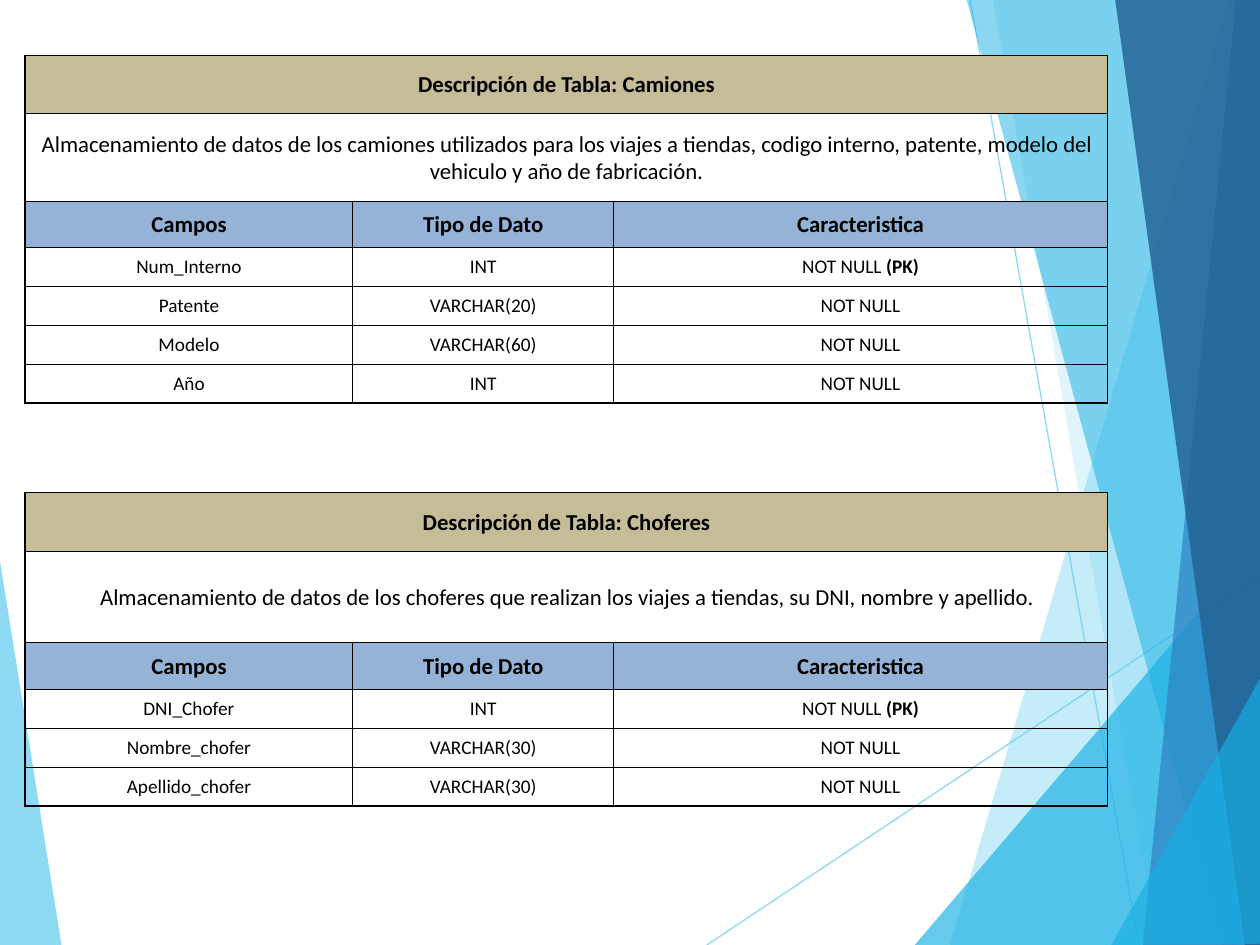
from dataclasses import dataclass

from lxml import etree
from pptx import Presentation
from pptx.dml.color import RGBColor
from pptx.enum.dml import MSO_FILL
from pptx.enum.shapes import MSO_CONNECTOR
from pptx.enum.text import MSO_ANCHOR, PP_ALIGN
from pptx.oxml.ns import qn
from pptx.util import Inches, Pt

STRAIGHT = MSO_CONNECTOR.STRAIGHT
MIDDLE = MSO_ANCHOR.MIDDLE
CENTER = PP_ALIGN.CENTER
SOLID = MSO_FILL.SOLID

COLORS = {
    "sky": "5FCBEF",
    "cyan": "17B0E4",
    "blue": "2E83C3",
    "navy": "226292",
    "title": "C4BD97",
    "header": "95B3D7",
    "ink": "000000",
}
FONT = "Calibri"
HEADERS = ("Campos", "Tipo de Dato", "Caracteristica")
COLUMN_WIDTHS = (2.6, 2.07, 3.92)
TABLE_LEFT = 0.2
FIELD_HEIGHT = 0.31
THIN, THICK = 0.5, 1


@dataclass
class Facet:
    points: list[tuple[float, float]]
    color: str
    opacity: int


@dataclass
class Ray:
    start: tuple[float, float]
    end: tuple[float, float]


@dataclass
class Field:
    name: str
    kind: str
    key: bool = False


@dataclass
class Entity:
    name: str
    description: str
    top: float
    heading_heights: tuple[float, float, float]
    fields: list[Field]


LEFT_FACET = Facet([(-0.01, 4.39), (0.49, 7.51), (-0.01, 7.5)], "sky", 70)
RAYS = [Ray((5.61, 7.5), (10.01, 4.57)), Ray((7.7, 0), (9.04, 7.5))]
RIGHT_FACETS = [
    Facet([(9.75, 0), (7.54, 7.5), (10.02, 7.51), (10.01, 0.01)], "sky", 36),
    Facet([(7.88, -0.01), (9.19, 7.5), (10.01, 7.5), (10.01, -0.01)], "sky", 20),
    Facet([(7.26, 7.5), (10, 4.29), (10.01, 7.5)], "cyan", 66),
    Facet([(7.67, -0.01), (9.7, 7.5), (10.01, 7.49), (10.01, -0.01)], "cyan", 50),
    Facet([(9.81, -0.01), (9.07, 7.5), (10.01, 7.5), (10, -0.01)], "blue", 70),
    Facet([(8.85, -0.01), (9.88, 7.5), (10.02, 7.5), (10, -0.01)], "navy", 82),
    Facet([(8.82, 7.5), (10.02, 5.35), (10.02, 7.49)], "cyan", 66),
]
ENTITIES = [
    Entity(
        "Camiones",
        "Almacenamiento de datos de los camiones utilizados para los viajes a tiendas, "
        "codigo interno, patente, modelo del vehiculo y año de fabricación.",
        0.44,
        (0.46, 0.7, 0.36),
        [
            Field("Num_Interno", "INT", True),
            Field("Patente", "VARCHAR(20)"),
            Field("Modelo", "VARCHAR(60)"),
            Field("Año", "INT"),
        ],
    ),
    Entity(
        "Choferes",
        "Almacenamiento de datos de los choferes que realizan los viajes a tiendas, "
        "su DNI, nombre y apellido.",
        3.91,
        (0.47, 0.72, 0.37),
        [
            Field("DNI_Chofer", "INT", True),
            Field("Nombre_chofer", "VARCHAR(30)"),
            Field("Apellido_chofer", "VARCHAR(30)"),
        ],
    ),
]


def rgb(name: str) -> RGBColor:
    return RGBColor.from_string(COLORS[name])


def set_opacity(element, percent: int) -> None:
    color = next(element.iter(qn("a:srgbClr")))
    etree.SubElement(color, qn("a:alpha"), val=str(percent * 1000))


def draw_facet(page, facet: Facet) -> None:
    corners = [(Inches(x), Inches(y)) for x, y in facet.points]
    builder = page.shapes.build_freeform(*corners[0])
    builder.add_line_segments(corners[1:], close=True)
    shape = builder.convert_to_shape()
    shape.shadow.inherit = False
    shape.fill.solid()
    shape.fill.fore_color.rgb = rgb(facet.color)
    set_opacity(shape.element.spPr, facet.opacity)
    shape.line.fill.background()


def draw_ray(page, ray: Ray) -> None:
    ends = [Inches(value) for value in (*ray.start, *ray.end)]
    line = page.shapes.add_connector(STRAIGHT, *ends)
    line.line.color.rgb = rgb("sky")
    line.line.width = Pt(0.75)
    properties = line.element.spPr
    set_opacity(properties, 70)
    etree.SubElement(properties, qn("a:effectLst"))


def set_borders(cell, row: int, column: int, last_row: int) -> None:
    widths = {
        "a:lnL": THICK if column == 0 else THIN,
        "a:lnR": THICK if row < 2 else THIN,
        "a:lnT": THICK if row in (0, 2) else THIN,
        "a:lnB": THICK if row in (1, last_row) else THIN,
    }
    properties = cell._tc.get_or_add_tcPr()
    for side, width in widths.items():
        border = etree.SubElement(properties, qn(side), w=str(Pt(width)))
        fill = etree.SubElement(border, qn("a:solidFill"))
        etree.SubElement(fill, qn("a:srgbClr"), val=COLORS["ink"])


def style_cell(cell, fill: str | None) -> None:
    cell.vertical_anchor = MIDDLE
    cell.margin_left = cell.margin_right = cell.margin_top = Inches(0.01)
    cell.margin_bottom = Inches(0)
    if fill:
        cell.fill.solid()
        cell.fill.fore_color.rgb = rgb(fill)
    else:
        cell.fill.background()


def write_cell(cell, text: str, size: int, bold: bool, suffix: str = "") -> None:
    para = cell.text_frame.paragraphs[0]
    para.alignment = CENTER
    para.font.name = FONT
    para.font.size = Pt(size)
    para.font.bold = bold
    para.font.color.rgb = rgb("ink")
    para.add_run().text = text
    if suffix:
        span = para.add_run()
        span.text = suffix
        span.font.bold = True


def draw_entity(page, entity: Entity) -> None:
    heights = [*entity.heading_heights, *[FIELD_HEIGHT] * len(entity.fields)]
    frame = page.shapes.add_table(
        len(heights), len(COLUMN_WIDTHS), Inches(TABLE_LEFT), Inches(entity.top),
        Inches(sum(COLUMN_WIDTHS)), Inches(sum(heights)),
    )
    table = frame.table
    table.first_row = table.horz_banding = False
    for column, width in zip(table.columns, COLUMN_WIDTHS):
        column.width = Inches(width)
    fills = {0: "title", 2: "header"}
    for row, height in enumerate(heights):
        table.rows[row].height = Inches(height)
        for column in range(len(COLUMN_WIDTHS)):
            cell = table.cell(row, column)
            set_borders(cell, row, column, len(heights) - 1)
            style_cell(cell, fills.get(row))
    for row in (0, 1):
        table.cell(row, 0).merge(table.cell(row, len(COLUMN_WIDTHS) - 1))
    write_cell(table.cell(0, 0), f"Descripción de Tabla: {entity.name}", 13, True)
    write_cell(table.cell(1, 0), entity.description, 13, False)
    for column, header in enumerate(HEADERS):
        write_cell(table.cell(2, column), header, 13, True)
    for row, field in enumerate(entity.fields, start=3):
        write_cell(table.cell(row, 0), field.name, 11, False)
        write_cell(table.cell(row, 1), field.kind, 11, False)
        rule, suffix = ("NOT NULL ", "(PK)") if field.key else ("NOT NULL", "")
        write_cell(table.cell(row, 2), rule, 11, False, suffix)


def main() -> None:
    deck = Presentation()
    deck.slide_width, deck.slide_height = Inches(10), Inches(7.5)
    page = deck.slides.add_slide(deck.slide_layouts[6])
    draw_facet(page, LEFT_FACET)
    for ray in RAYS:
        draw_ray(page, ray)
    for facet in RIGHT_FACETS:
        draw_facet(page, facet)
    for entity in ENTITIES:
        draw_entity(page, entity)
    deck.save("out.pptx")


if __name__ == "__main__":
    main()
